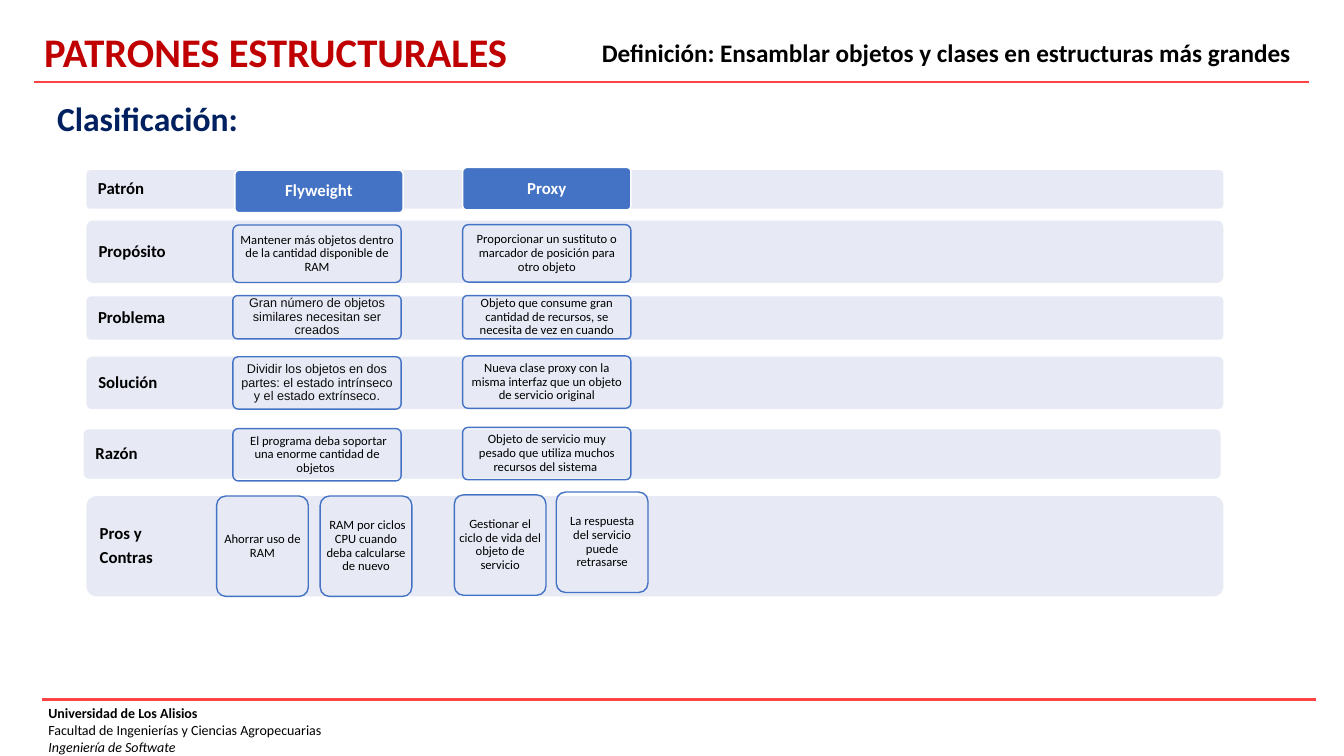
import pptx
import pptx.util
from pptx.dml.color import RGBColor
from pptx.enum.shapes import MSO_CONNECTOR, MSO_SHAPE
from pptx.enum.text import MSO_ANCHOR, PP_ALIGN
from pptx.oxml.ns import qn
from lxml import etree

Cm, Pt = pptx.util.Cm, pptx.util.Pt

BLACK = RGBColor(0x00, 0x00, 0x00)
INK = RGBColor(0x0D, 0x0D, 0x0D)
WHITE = RGBColor(0xFF, 0xFF, 0xFF)
BLUE = RGBColor(0x44, 0x72, 0xC4)
BAND = RGBColor(0xE7, 0xEA, 0xF5)
NAVY = RGBColor(0x00, 0x20, 0x60)
RED = RGBColor(0xC0, 0x00, 0x00)
RULE = RGBColor(0xFF, 0x43, 0x43)

# label, left, top, height (cm)
BANDS = [
    ("Patrón", 2.18, 4.29, 0.97),
    ("Propósito", 2.18, 5.56, 1.57),
    ("Problema", 2.18, 7.47, 1.09),
    ("Solución", 2.18, 8.99, 1.32),
    ("Razón", 2.11, 10.82, 1.24),
    ("Pros y\nContras", 2.18, 12.5, 2.53),
]
BAND_W = 28.65

CARD_W, HALF_W = 4.24, 2.31
CARD_HEIGHTS = [1.07, 1.45, 1.09, 1.32, 1.32]
HALF_H = 2.53

# cards: text, top, font; halves: text, left, top
PATTERNS = [
    {"left": 5.87, "header_left": 5.92,
     "cards": [
         ("Flyweight", 4.29, "Calibri"),
         ("Mantener más objetos dentro de la cantidad disponible de RAM", 5.67, "Calibri"),
         ("Gran número de objetos similares necesitan ser creados", 7.45, "Arial"),
         ("Dividir los objetos en dos partes: el estado intrínseco y el estado extrínseco.",
          8.99, "Arial"),
         (" El programa deba soportar una enorme cantidad de objetos ", 10.8, "Calibri")],
     "halves": [
         ("Ahorrar uso de RAM", 5.46, 12.5),
         (" RAM por ciclos CPU cuando deba calcularse de nuevo", 8.07, 12.5)]},
    {"left": 11.66, "header_left": 11.66,
     "cards": [
         ("Proxy", 4.22, "Calibri"),
         ("Proporcionar un sustituto o marcador de posición para otro objeto", 5.66, "Calibri"),
         ("Objeto que consume gran cantidad de recursos, se necesita de vez en cuando",
          7.45, "Calibri"),
         ("Nueva clase proxy con la misma interfaz que un objeto de servicio original",
          8.97, "Calibri"),
         ("Objeto de servicio muy pesado que utiliza muchos recursos del sistema ",
          10.77, "Calibri")],
     "halves": [
         ("Gestionar el ciclo de vida del objeto de servicio", 11.45, 12.47),
         ("La respuesta del servicio puede retrasarse", 14.02, 12.4)]},
]

# text, left, top, width, height, size, colour, anchor, alignment, line spacing
HEADINGS = [
    ("PATRONES ESTRUCTURALES", 0.86, -0.08, 17.83, 2.13, 29, RED,
     MSO_ANCHOR.BOTTOM, PP_ALIGN.LEFT, 0.9),
    ("Definición: Ensamblar objetos y clases en estructuras más grandes",
     14.71, 0.91, 18.29, 1.9, 18, BLACK, MSO_ANCHOR.TOP, PP_ALIGN.CENTER, 0.9),
    ("Clasificación:", 1.19, 2.39, 5.3, 1.24, 24, NAVY,
     MSO_ANCHOR.BOTTOM, PP_ALIGN.LEFT, 0.9),
    ("Universidad de Los Alisios\nFacultad de Ingenierías y Ciencias Agropecuarias\n"
     "Ingeniería de Softwate", 0.97, 17.63, 17.83, 1.55, 10, BLACK,
     MSO_ANCHOR.TOP, PP_ALIGN.LEFT, 1.0),
]

# left, right, height on the slide (cm)
RULES = [(0.86, 32.99, 2.06), (1.07, 33.17, 17.63)]


def write(sp, text, size, color, bold, align, anchor, font="Calibri", spacing=0.9, gap=0):
    tf = sp.text_frame
    tf.text = text
    tf.word_wrap = True
    tf.vertical_anchor = anchor
    for p in tf.paragraphs:
        p.alignment = align
        p.line_spacing = spacing
        for r in p.runs:
            r.font.name, r.font.size, r.font.bold = font, Pt(size), bold
            r.font.color.rgb = color
    for p in tf.paragraphs[:-1]:
        p.space_after = Pt(gap)
    return tf


def rounded(s, left, top, width, height, fill=None, line=None):
    sp = s.shapes.add_shape(MSO_SHAPE.ROUNDED_RECTANGLE,
                            Cm(left), Cm(top), Cm(width), Cm(height))
    sp.adjustments[0] = 0.1
    sp.shadow.inherit = False
    if fill is None:
        sp.fill.background()
    else:
        sp.fill.solid()
        sp.fill.fore_color.rgb = fill
    if line is None:
        sp.line.fill.background()
    else:
        sp.line.color.rgb = line
        sp.line.width = Pt(1)
    return sp


def set_margins(tf, side, right=None):
    tf.margin_left = tf.margin_top = tf.margin_bottom = Cm(side)
    tf.margin_right = Cm(side if right is None else right)


def card(s, text, left, top, width, height, font="Calibri", header=False, margin=0.11):
    sp = rounded(s, left, top, width, height,
                 BLUE if header else None, WHITE if header else BLUE)
    color = WHITE if header else INK if font == "Arial" else BLACK
    tf = write(sp, text, 12 if header else 9, color, header,
               PP_ALIGN.CENTER, MSO_ANCHOR.MIDDLE, font)
    set_margins(tf, margin)


def main():
    prs = pptx.Presentation()
    prs.slide_width, prs.slide_height = Cm(33.87), Cm(19.05)
    s = prs.slides.add_slide(prs.slide_layouts[6])

    for label, left, top, height in BANDS:
        sp = rounded(s, left, top, BAND_W, height, BAND)
        tf = write(sp, label, 12, BLACK, True, PP_ALIGN.LEFT, MSO_ANCHOR.MIDDLE, gap=4.2)
        set_margins(tf, 0.26, 24.6)

    for pattern in PATTERNS:
        for i, (text, top, font) in enumerate(pattern["cards"]):
            left = pattern["left" if i else "header_left"]
            card(s, text, left, top, CARD_W, CARD_HEIGHTS[i], font, header=i == 0)
        for text, left, top in pattern["halves"]:
            card(s, text, left, top, HALF_W, HALF_H, margin=0.06)

    for text, left, top, width, height, size, color, anchor, align, spacing in HEADINGS:
        sp = s.shapes.add_textbox(Cm(left), Cm(top), Cm(width), Cm(height))
        tf = write(sp, text, size, color, True, align, anchor, spacing=spacing)
    faculty, career = tf.paragraphs[1:]
    for p in (faculty, career):
        p.runs[0].font.bold = False
    career.runs[0].font.italic = True

    for left, right, y in RULES:
        rule = s.shapes.add_connector(MSO_CONNECTOR.STRAIGHT,
                                      Cm(left), Cm(y), Cm(right), Cm(y))
        rule.line.color.rgb = RULE
        rule.line.width = Pt(1.75)
        etree.SubElement(rule._element.spPr, qn("a:effectLst"))

    prs.save("out.pptx")


if __name__ == "__main__":
    main()
